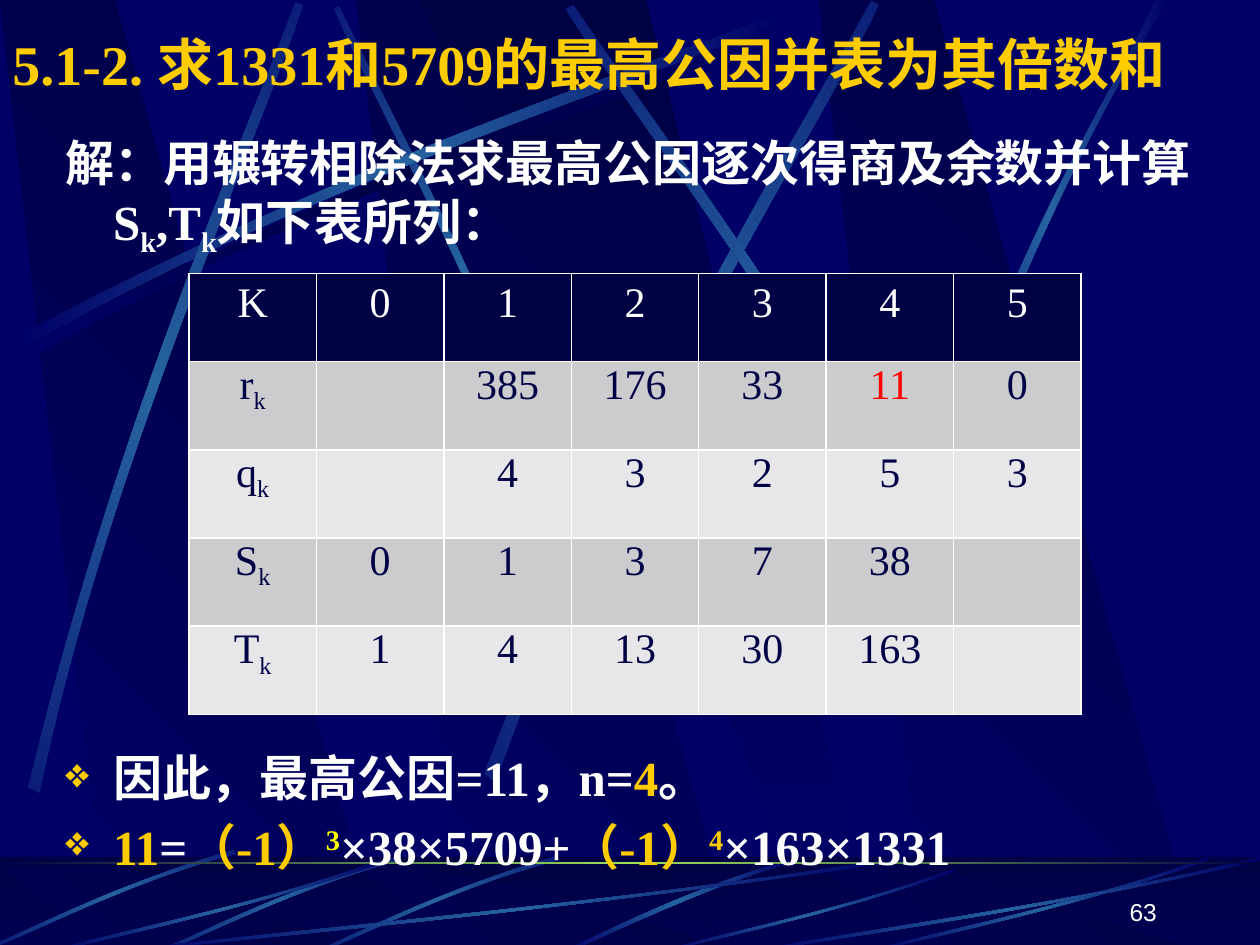
from copy import deepcopy
from math import cos, radians, sin

from lxml import etree
from pptx import Presentation
from pptx.dml.color import RGBColor
from pptx.enum.shapes import MSO_SHAPE
from pptx.enum.text import MSO_ANCHOR, PP_ALIGN
from pptx.oxml.ns import qn
from pptx.util import Pt

PX = 9144  # EMU in one px, 100 px to the inch
RECT = MSO_SHAPE.RECTANGLE
TOP, MIDDLE, BOTTOM = MSO_ANCHOR.TOP, MSO_ANCHOR.MIDDLE, MSO_ANCHOR.BOTTOM
LEFT, RIGHT, CENTER = PP_ALIGN.LEFT, PP_ALIGN.RIGHT, PP_ALIGN.CENTER

NAVY, DARK, BLUE, GREEN = "000066", "000044", "2663A0", "9CE157"
WHITE, GOLD, YELLOW, RED = "FFFFFF", "FFCC00", "FFFF00", "FF0000"
SUB, SUP = -25, 30
GLOW = (NAVY, BLUE, NAVY)


def px(n):
    return round(n * PX)


def color(code):
    return RGBColor.from_string(code)


def add(parent, tag, **attrs):
    return etree.SubElement(parent, qn(tag), attrs)


def write(par, text, size=28, font="Times New Roman", tint=WHITE, bold=False, base=0):
    run = par.add_run()
    run.text = text
    run.font.size, run.font.name, run.font.bold = Pt(size), font, bold
    run.font.color.rgb = color(tint)
    if base:
        run.font._element.set("baseline", str(base * 1000))


def bend(form):
    """Turn an outline of eight nodes into curve, line, curve."""
    lines = form._element.findall(".//" + qn("a:lnTo"))
    for trio in (lines[:3], lines[4:7]):
        trio[0].tag = qn("a:cubicBezTo")
        for line in trio[1:]:
            trio[0].append(line[0])
            line.getparent().remove(line)


def turn(point, mid, angle):
    """Rotate a point clockwise about mid."""
    x, y = point[0] - mid[0], point[1] - mid[1]
    c, s = cos(radians(angle)), sin(radians(angle))
    return mid[0] + x * c - y * s, mid[1] + x * s + y * c


def shift(points, dx, dy=0):
    return [(x + dx, y + dy) for x, y in points]


class Deck:
    """Holds the file, the current slide and its style."""

    def __init__(self, wide, high):
        self.file = Presentation()
        self.file.slide_width, self.file.slide_height = px(wide), px(high)
        self.slide = self.file.slides.add_slide(self.file.slide_layouts[6])
        self.slide.background.fill.solid()
        self.slide.background.fill.fore_color.rgb = color(NAVY)
        self.shapes = self.slide.shapes

    def settle(self):
        """Move the shapes drawn so far to the slide master."""
        tree = self.file.slide_master.shapes._spTree
        for shape in list(self.shapes):
            tree.append(shape._element)

    def paint(self, shape, tints, angle=0):
        """Fill with evenly spaced gradient stops, angle clockwise."""
        shape.shadow.inherit = False
        shape.line.fill.background()
        fill = shape.fill
        fill.gradient()
        fill.gradient_angle = -angle % 360
        stops = shape._element.spPr.find(".//" + qn("a:gsLst"))
        while len(stops) < len(tints):
            stops.insert(1, deepcopy(stops[0]))
        for i, (stop, tint) in enumerate(zip(fill.gradient_stops, tints)):
            stop.color.rgb = color(tint)
            stop.position = i / (len(tints) - 1)

    def shape(self, points, tints, angle=0):
        first, *rest = [(px(x), px(y)) for x, y in points]
        pen = self.shapes.build_freeform(*first)
        pen.add_line_segments(rest, close=True)
        form = pen.convert_to_shape()
        self.paint(form, tints, angle)
        return form

    def beam(self, nodes, tints=GLOW, spin=0, mid=(0, 0)):
        """A thin streak between two curves of four nodes each."""
        form = self.shape([turn(p, mid, -spin) for p in nodes], tints)
        form.rotation = spin
        bend(form)

    def bar(self, x, y, w, h, tints, angle=0):
        rect = self.shapes.add_shape(RECT, px(x), px(y), px(w), px(h))
        self.paint(rect, tints, angle)
        return rect

    def veil(self, x, y, w, h, tint, alpha):
        rect = self.bar(x, y, w, h, (tint, tint))
        rect.fill.solid()
        rect.fill.fore_color.rgb = color(tint)
        code = rect._element.spPr.find(qn("a:solidFill"))[0]
        add(code, "a:alpha", val=str(alpha * 1000))

    def text(self, x, y, w, h, anchor=TOP):
        frame = self.shapes.add_textbox(px(x), px(y), px(w), px(h)).text_frame
        frame.word_wrap = True
        frame.vertical_anchor = anchor
        return frame

    def line(self, par, runs, align=LEFT, **style):
        par.alignment = align
        for text, extra in runs:
            write(par, text, **{**style, **extra})

    def hang(self, par, before=0, mark=None):
        """Hanging indent, space before and, if given, a bullet mark."""
        par.space_before = Pt(before)
        props = par._p.get_or_add_pPr()
        props.set("marL", str(px(38)))
        props.set("indent", str(px(-38)))
        if mark:
            add(add(props, "a:buClr"), "a:srgbClr", val=GOLD)
            add(props, "a:buSzPct", val="85000")
            add(props, "a:buChar", char=mark)

    def cell(self, cell, text, tint, fill, head):
        cell.fill.solid()
        cell.fill.fore_color.rgb = color(fill)
        cell.margin_left = cell.margin_right = px(7)
        cell.margin_top = cell.margin_bottom = px(5 if head else 0)
        props = cell._tc.get_or_add_tcPr()
        for i, side in enumerate(("a:lnL", "a:lnR", "a:lnT", "a:lnB")):
            edge = add(props, side, w=str(Pt(1)))
            add(add(edge, "a:solidFill"), "a:srgbClr", val=WHITE)
            props.insert(i, edge)
        if text:
            runs = [(text, {})]
            if text[0] in "rqST":
                runs = [(text[0], {}), (text[1], {"base": SUB})]
            self.line(cell.text_frame.paragraphs[0], runs, CENTER, size=24, tint=tint)

    def table(self, x, y, w, h, data, marked):
        grid = self.shapes.add_table(len(data), len(data[0]),
                                     px(x), px(y), px(w), px(h)).table
        for r, values in enumerate(data):
            fill = DARK if r == 0 else ("E7E7E9", "CCCCCF")[r % 2]
            for c, value in enumerate(values):
                tint = RED if (r, c) == marked else WHITE if r == 0 else DARK
                self.cell(grid.cell(r, c), value, tint, fill, r == 0)


SLABS = (283, 0, 650)
ARC = [(20, 275), (284, 134), (524, 59), (626, 18),
       (629, 24), (528, 69), (254, 151), (23, 285)]
BEAMS = [  # nodes, spin, centre
    ([(460, 436), (391, 234), (302, 77), (269, 5),
      (265, 7), (295, 79), (398, 258), (454, 439)], 45, (362, 222)),
    (shift(ARC, -6, -8), 0, (0, 0)),
    ([(23, 625), (93, 334), (197, 105), (235, 2),
      (241, 4), (207, 109), (86, 368), (32, 629)], 311.7, (133, 315)),
    ([(385, 614), (498, 320), (638, 102), (692, 1),
      (698, 4), (649, 108), (486, 355), (394, 621)], 321.6, (543, 310)),
    ([(806, 560), (670, 293), (516, 95), (455, 4),
      (449, 7), (507, 101), (685, 325), (799, 567)], 34.7, (627, 285)),
    ([(738, 394), (814, 173), (888, 66), (917, 0),
      (927, 0), (836, 145), (769, 322), (744, 397)], 0, (0, 0)),
]
RAY = [(627, 682), (537, 709), (477, 742), (448, 754),
       (453, 755), (490, 738), (571, 700), (628, 685)]
DASH = [(442, 680), (355, 705), (287, 740), (256, 753),
        (257, 755), (288, 743), (365, 703), (444, 683)]
SWEEP = [(1, .04), (.57, .57), (.17, .85), (.01, 1),
         (0, .99), (.16, .81), (.62, .51), (1, 0)]
SWEEPS = [(100, 680, 617), (42, 680, 267), (527, 689, 231), (692, 680, 267), (600, 680, 400)]
DATA = [
    ["K", "0", "1", "2", "3", "4", "5"],
    ["rk", "", "385", "176", "33", "11", "0"],
    ["qk", "", "4", "3", "2", "5", "3"],
    ["Sk", "0", "1", "3", "7", "38", ""],
    ["Tk", "1", "4", "13", "30", "163", ""],
]
LOW, HUE = {"base": SUB}, {"tint": GOLD}
BODY = [  # space before, bullet, runs
    (0, None, [("解：用辗转相除法求最高公因逐次得商及余数并计算S", {}), ("k", LOW),
               (",T", {}), ("k", LOW), ("如下表所列：", {})]),
    (280, "❖", [("因此，最高公因=11，n=", {}), ("4", HUE), ("。", {})]),
    (5.6, "❖", [("11", HUE), ("=", {}), ("（-1）", HUE), ("3", {"tint": YELLOW, "base": SUP}),
                ("×38×5709+", {}), ("（-1）", HUE), ("4", {"tint": GOLD, "base": SUP}),
                ("×163×1331", {})]),
]


def floor(deck, top, end):
    """Four slanted slabs between two heights."""
    for x in SLABS:
        deck.shape(shift([(86, end), (302, end), (91, top), (0, top)], x), (NAVY, DARK), 315)
    deck.shape([(333, top), (658, end), (694, end), (513, top)], (DARK, NAVY), 90)


def scene(deck):
    """The backdrop of slabs and streaks."""
    floor(deck, 0, 752)
    deck.beam(ARC, (NAVY, DARK, NAVY))
    for nodes, spin, mid in BEAMS:
        deck.beam(nodes, GLOW, spin, mid)
    deck.bar(0, 680, 1000, 75, (DARK, NAVY), 90)
    floor(deck, 688, 755)
    deck.veil(0, 680, 1000, 75, DARK, 50)
    deck.beam(RAY)
    for dx, dy in ((0, 0), (-125, 0), (-256, -5)):
        deck.beam(shift(DASH, dx, dy), GLOW, 315, (350 + dx, 717 + dy))
    for x, y, w in SWEEPS:
        deck.beam([(x + w * u, y + (755 - y) * v) for u, v in SWEEP])
    deck.bar(0, 684, 1000, 2, (DARK, GREEN, DARK))
    deck.settle()


def main():
    deck = Deck(1000, 750)
    scene(deck)
    title = deck.text(0, 18, 1000, 64, MIDDLE)
    deck.line(title.paragraphs[0], [("5.1-2. 求1331和5709的最高公因并表为其倍数和", {})],
              size=32, tint=GOLD, bold=True)
    body = deck.text(42, 100, 917, 625)
    for i, (before, mark, runs) in enumerate(BODY):
        par = body.add_paragraph() if i else body.paragraphs[0]
        deck.hang(par, before, mark)
        deck.line(par, runs, bold=True)
    deck.table(150, 217, 708, 350, DATA, (1, 5))
    page = deck.text(720, 690, 208, 50, BOTTOM)
    deck.line(page.paragraphs[0], [("63", {})], RIGHT, size=14, font="Arial")
    deck.file.save("out.pptx")


if __name__ == "__main__":
    main()
